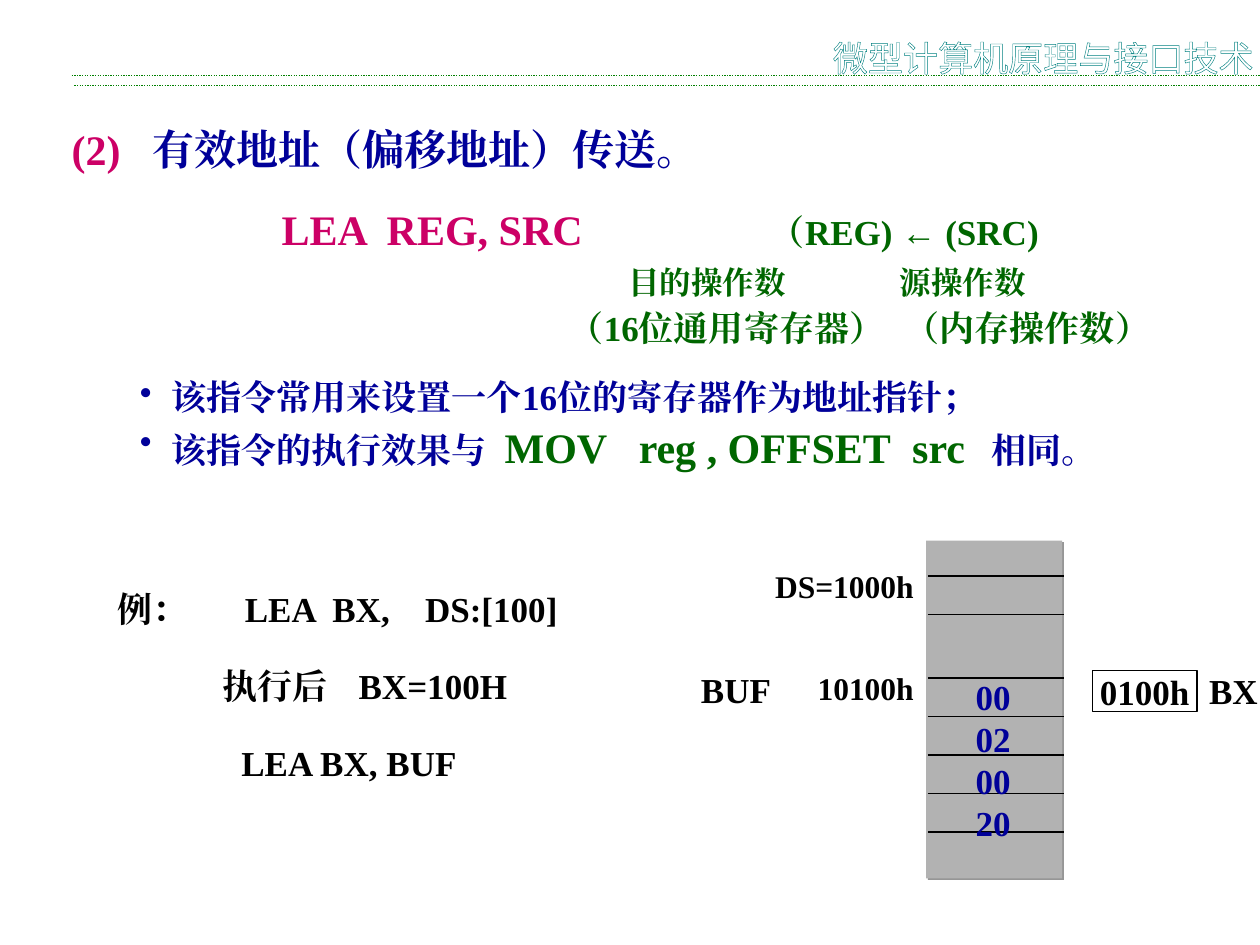
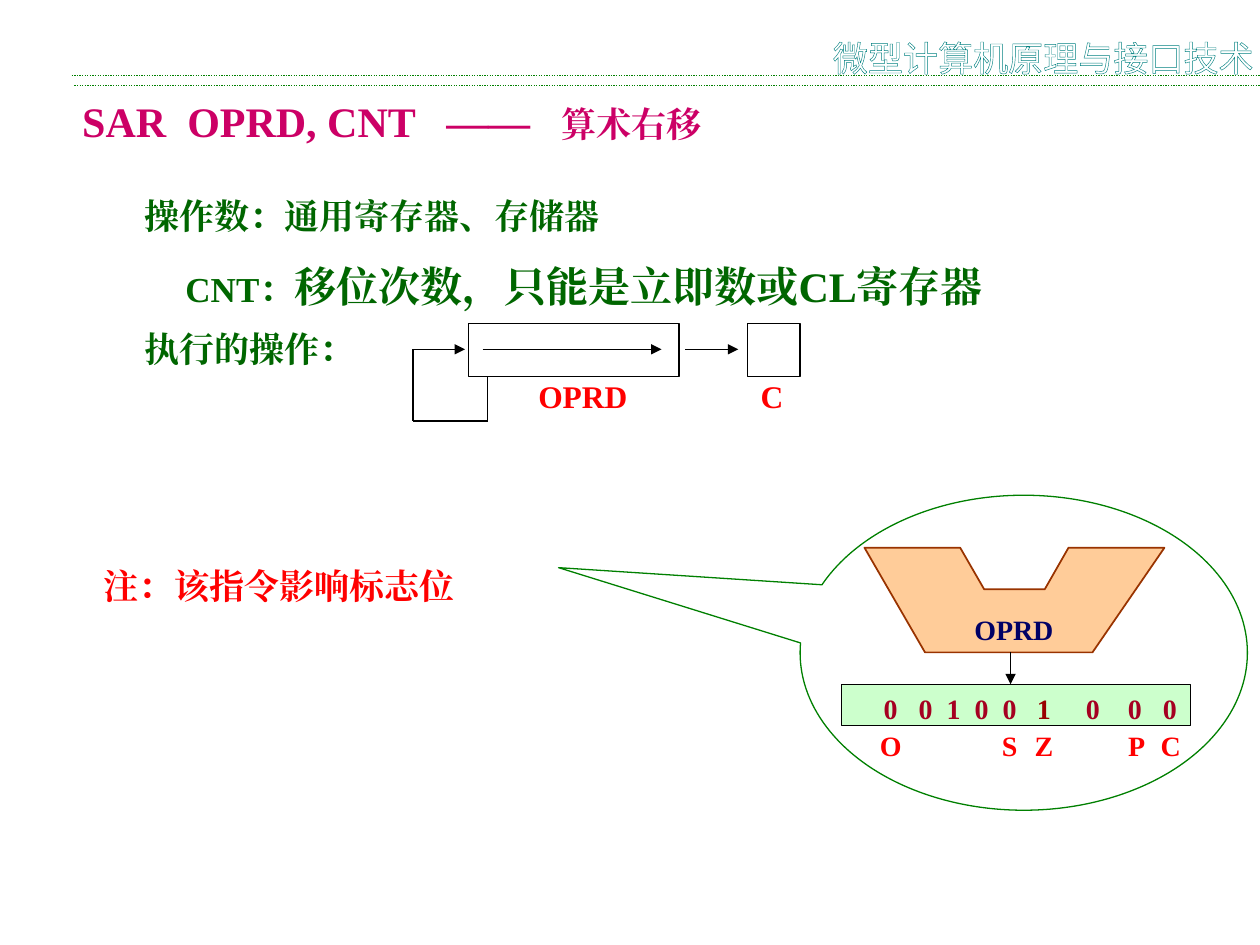
from lxml import etree
from pptx import Presentation
from pptx.dml.color import RGBColor
from pptx.enum.dml import MSO_LINE
from pptx.enum.shapes import MSO_CONNECTOR, MSO_SHAPE
from pptx.enum.text import MSO_ANCHOR, MSO_AUTO_SIZE, PP_ALIGN
from pptx.oxml.ns import qn
from pptx.util import Pt

STRAIGHT = MSO_CONNECTOR.STRAIGHT
DOTTED = MSO_LINE.ROUND_DOT
RECTANGLE = MSO_SHAPE.RECTANGLE
CALLOUT = MSO_SHAPE.OVAL_CALLOUT
TOP, MIDDLE = MSO_ANCHOR.TOP, MSO_ANCHOR.MIDDLE
LEFT, CENTER, RIGHT = PP_ALIGN.LEFT, PP_ALIGN.CENTER, PP_ALIGN.RIGHT

WHITE = RGBColor(0xFF, 0xFF, 0xFF)
BLACK = RGBColor(0, 0, 0)
TEAL = RGBColor(0, 0x80, 0x80)
RULE_GREEN = RGBColor(0, 0x80, 0)
MAGENTA = RGBColor(0xCC, 0, 0x66)
BLUE = RGBColor(0, 0, 0x99)
NAVY = RGBColor(0, 0, 0x66)
GREEN = RGBColor(0, 0x66, 0)
RED = RGBColor(0xFF, 0, 0)
BIT_RED = RGBColor(0xA5, 0, 0x21)
DARK_RED = RGBColor(0x99, 0, 0)
GRAY = RGBColor(0xB2, 0xB2, 0xB2)
PEACH = RGBColor(0xFF, 0xCC, 0x99)
BROWN = RGBColor(0x99, 0x33, 0)
MINT = RGBColor(0xCC, 0xFF, 0xCC)

SERIF, SANS = "Times New Roman", "Noto Sans CJK SC"
LEADING = 1.2


def add_child(parent, tag, **attributes):
    return etree.SubElement(parent, qn(tag), {k: str(v) for k, v in attributes.items()})


def prepare(frame, anchor=TOP, wrap=True):
    frame.auto_size = MSO_AUTO_SIZE.NONE
    frame.word_wrap = wrap
    frame.vertical_anchor = anchor
    frame.margin_left = frame.margin_right = frame.margin_top = frame.margin_bottom = 0
    return frame


def text_box(page, left, top, width, height):
    box = page.shapes.add_textbox(Pt(left), Pt(top), Pt(width), Pt(height))
    return prepare(box.text_frame)


def write(frame, *spans, size=20, color=BLACK, bold=True, font=SERIF, align=LEFT,
          before=0, tabs=(), tab_align="l", bullet=0):
    para = frame.add_paragraph() if frame.text else frame.paragraphs[0]
    spans = [(span, {}) if isinstance(span, str) else span for span in spans]
    para.alignment = align
    para.line_spacing = Pt(LEADING * max(style.get("size", size) for _, style in spans))
    if before:
        para.space_before = Pt(before)
    properties = para._p.get_or_add_pPr()
    if bullet:
        properties.set("marL", str(Pt(bullet)))
        properties.set("indent", str(-Pt(bullet)))
        add_child(properties, "a:buChar", char="•")
    if tabs:
        stops = add_child(properties, "a:tabLst")
        for stop in tabs:
            add_child(stops, "a:tab", pos=Pt(stop), algn=tab_align)
    for words, style in spans:
        run = para.add_run()
        run.text = words
        run.font.size = Pt(style.get("size", size))
        run.font.bold = bold
        run.font.color.rgb = style.get("color", color)
        run.font.name = style.get("font", font)
        run_properties = run._r.get_or_add_rPr()
        add_child(run_properties, "a:ea", typeface=font)
        if "gap" in style:
            run_properties.set("spc", str(style["gap"] * 100))
    return para


def label(page, words, left, top, width, **style):
    height = LEADING * style.get("size", 20)
    return write(text_box(page, left, top, width, height), words, **style)


def paint(shape, fill=None, line=None, weight=0.75):
    shape.shadow.inherit = False
    if fill is None:
        shape.fill.background()
    else:
        shape.fill.solid()
        shape.fill.fore_color.rgb = fill
    if line is None:
        shape.line.fill.background()
    else:
        shape.line.color.rgb = line
        shape.line.width = Pt(weight)
    return shape


def block(page, left, top, width, height, kind=RECTANGLE, **style):
    shape = page.shapes.add_shape(kind, Pt(left), Pt(top), Pt(width), Pt(height))
    return paint(shape, **style)


def line(page, x1, y1, x2, y2, color=BLACK, weight=0.75, arrow=False):
    connector = page.shapes.add_connector(STRAIGHT, Pt(x1), Pt(y1), Pt(x2), Pt(y2))
    connector.line.color.rgb = color
    connector.line.width = Pt(weight)
    if arrow:
        add_child(connector.line._get_or_add_ln(), "a:tailEnd", type="triangle")
    add_child(connector._element.spPr, "a:effectLst")
    return connector


def course_header(page):
    for left, top in ((42.5, 49), (41, 43.2)):
        line(page, left, top, 720, top, color=RULE_GREEN).line.dash_style = DOTTED
    para = label(page, "微型计算机原理与接口技术", 476, 20.8, 244,
                 color=WHITE, bold=False, font=SANS)
    run_properties = para.runs[0]._r.get_or_add_rPr()
    outline = etree.Element(qn("a:ln"), w=str(Pt(0.75)))
    add_child(add_child(outline, "a:solidFill"), "a:srgbClr", val=TEAL)
    run_properties.insert(0, outline)


def new_page(deck, title_spans, left, top, tabs):
    page = deck.slides.add_slide(deck.slide_layouts[5])
    course_header(page)
    title = page.shapes.title
    title.left, title.top, title.width, title.height = Pt(left), Pt(top), Pt(640), Pt(29)
    write(prepare(title.text_frame), *title_spans, size=24, color=MAGENTA, tabs=tabs)
    return page


def lea_syntax(page, left, top):
    write(text_box(page, left, top, 520, 29),
          ("LEA\tREG, SRC", {"size": 24, "color": MAGENTA}),
          "\t（REG) ", ("←", {"font": "Arial"}), " (SRC)",
          color=GREEN, tabs=(60, 279))
    operands = text_box(page, left + 164, top + 34, 350, 49)
    write(operands, "\t目的操作数\t源操作数", size=18, color=GREEN, tabs=(34, 189))
    write(operands, "（16位通用寄存器）\t（内存操作数）", color=GREEN, before=3, tabs=(192,))


def lea_notes(page, left, top):
    notes = text_box(page, left, top, 600, 55)
    code = {"size": 24, "color": GREEN}
    write(notes, "该指令常用来设置一个16位的寄存器作为地址指针；", color=BLUE, bullet=18)
    write(notes, "该指令的执行效果与", (" ", {"gap": 5}),
          ("MOV", code), (" ", {**code, "gap": 12}),
          ("reg , OFFSET", code), (" ", {**code, "gap": 6}), ("src", code),
          (" ", {"gap": 10}), "相同。",
          color=BLUE, before=2, bullet=18)


def lea_example(page, left, top):
    example = text_box(page, left, top, 300, 112)
    write(example, "例：\tLEA\tBX,\tDS:[100]", tabs=(72.5, 122.5, 175.5))
    write(example, "\t执行后\tBX=100H", before=20, tabs=(59.5, 137.5))
    write(example, "\tLEA BX, BUF", before=20, tabs=(70.5,))


def memory_map(page, left, top):
    memory = block(page, left, top, 77.8, 193, fill=GRAY)
    effects = memory._element.spPr.find(qn("a:effectLst"))
    shadow = add_child(effects, "a:outerShdw", dist=Pt(1.4), dir=45 * 60000, algn="ctr", rotWithShape=0)
    add_child(shadow, "a:srgbClr", val="969696")
    cell_height = 22
    dividers = [20.2, 42.2] + [78.5 + cell_height * row for row in range(5)]
    for row, offset in enumerate(dividers):
        line(page, left + 1, top + offset, left + 79, top + offset, weight=1 if row < 4 else 0.75)
    contents = text_box(page, left, top + 77, 76.5, 96)
    for value in ("00", "02", "00", "20"):
        write(contents, value, color=BLUE, align=CENTER)
    for words, offset in (("DS=1000h", 15.3), ("10100h", 73.6)):
        label(page, words, left - 97, top + offset, 90, size=18, align=RIGHT)
    label(page, "BUF", left - 128.6, top + 73, 50)
    register = block(page, left + 95, top + 74.1, 59.8, 23.8, line=BLACK)
    write(prepare(register.text_frame, MIDDLE, wrap=False), "0100h", align=CENTER)
    label(page, "BX", left + 161.7, top + 73.4, 29)


def sar_operands(page, left, top):
    operands = text_box(page, left, top, 560, 100)
    write(operands, "操作数：通用寄存器、存储器", color=GREEN)
    write(operands, "\tCNT：", ("移位次数，只能是立即数或CL寄存器", {"size": 24}),
          color=GREEN, before=13.6, tabs=(23.5,))
    write(operands, "执行的操作：", color=GREEN, before=9.6)


def shift_diagram(page, left, top):
    side = 30.2
    middle = top + 14.6
    operand_left, carry_left = left + 31.8, left + 191
    block(page, operand_left, top, 120.2, side, line=BLACK)
    block(page, carry_left, top, side, side, line=BLACK)
    loop = ((left + 42.6, top + side), (left + 42.6, top + 55.5),
            (left, top + 55.5), (left, middle))
    for start, end in zip(loop, loop[1:]):
        line(page, *start, *end)
    for start, end in ((0, 29.7), (39.8, 142), (155.7, 185.9)):
        line(page, left + start, middle, left + end, middle, arrow=True)
    for words, center in (("OPRD", left + 97.1), ("C", carry_left + 14.1)):
        label(page, words, center - 35, top + 30.6, 70, size=18, color=RED, align=CENTER)


def flags_callout(page, left, top):
    alu_left, alu_top = left + 36.8, top + 30
    corners = ((0, 0), (54.7, 0), (68.4, 23.8), (103, 23.8),
               (116.6, 0), (171.4, 0), (130.3, 59.8), (34.6, 59.8))
    points = [(Pt(alu_left + x), Pt(alu_top + y)) for x, y in corners]
    builder = page.shapes.build_freeform(*points[0])
    builder.add_line_segments(points[1:], close=True)
    paint(builder.convert_to_shape(), fill=PEACH, line=BROWN, weight=1)
    label(page, "OPRD", alu_left + 50.4, alu_top + 37, 70, size=16, color=NAVY, align=CENTER)

    register_left, register_top = left + 23.8, top + 108
    line(page, left + 120.3, alu_top + 59.8, left + 120.3, register_top, arrow=True)
    block(page, register_left, register_top, 199.4, 23.8, fill=MINT, line=BLACK)
    columns = (28, 48, 64, 80, 96, 115.5, 143.5, 167.5, 187.5)
    flags = {"O": 28, "S": 96, "Z": 115.5, "P": 168.5, "C": 188}
    write(text_box(page, register_left, register_top + 4.2, 205, 19.2),
          "\t0\t0\t1\t0\t0", ("\t1", {"color": DARK_RED}), "\t0\t0\t0",
          size=16, color=BIT_RED, tabs=columns, tab_align="ctr")
    write(text_box(page, register_left, register_top + 25.4, 205, 19.2),
          "".join("\t" + flag for flag in flags),
          size=16, color=RED, tabs=flags.values(), tab_align="ctr")

    bubble = block(page, left, top, 255.6, 180, kind=CALLOUT, line=RULE_GREEN)
    bubble.adjustments[0], bubble.adjustments[1] = -1.04, -0.27


def lea_page(deck):
    page = new_page(deck, ["(2)\t", ("有效地址（偏移地址）传送。", {"color": BLUE})], 41, 70.5, (46,))
    lea_syntax(page, 161, 116.3)
    lea_notes(page, 80, 214.8)
    memory_map(page, 529.2, 308.9)
    lea_example(page, 67.4, 335.5)


def sar_page(deck):
    page = new_page(deck, ["SAR\tOPRD, CNT\t——\t", ("算术右移", {"size": 20})],
                    47, 54.6, (60, 208, 274))
    sar_operands(page, 82.5, 111.3)
    shift_diagram(page, 236, 185)
    label(page, "注：该指令影响标志位", 59.4, 322.8, 240, color=RED)
    flags_callout(page, 457.2, 283)


def main():
    deck = Presentation()
    deck.slide_width, deck.slide_height = Pt(720), Pt(540)
    lea_page(deck)
    sar_page(deck)
    deck.save("out.pptx")


if __name__ == "__main__":
    main()
